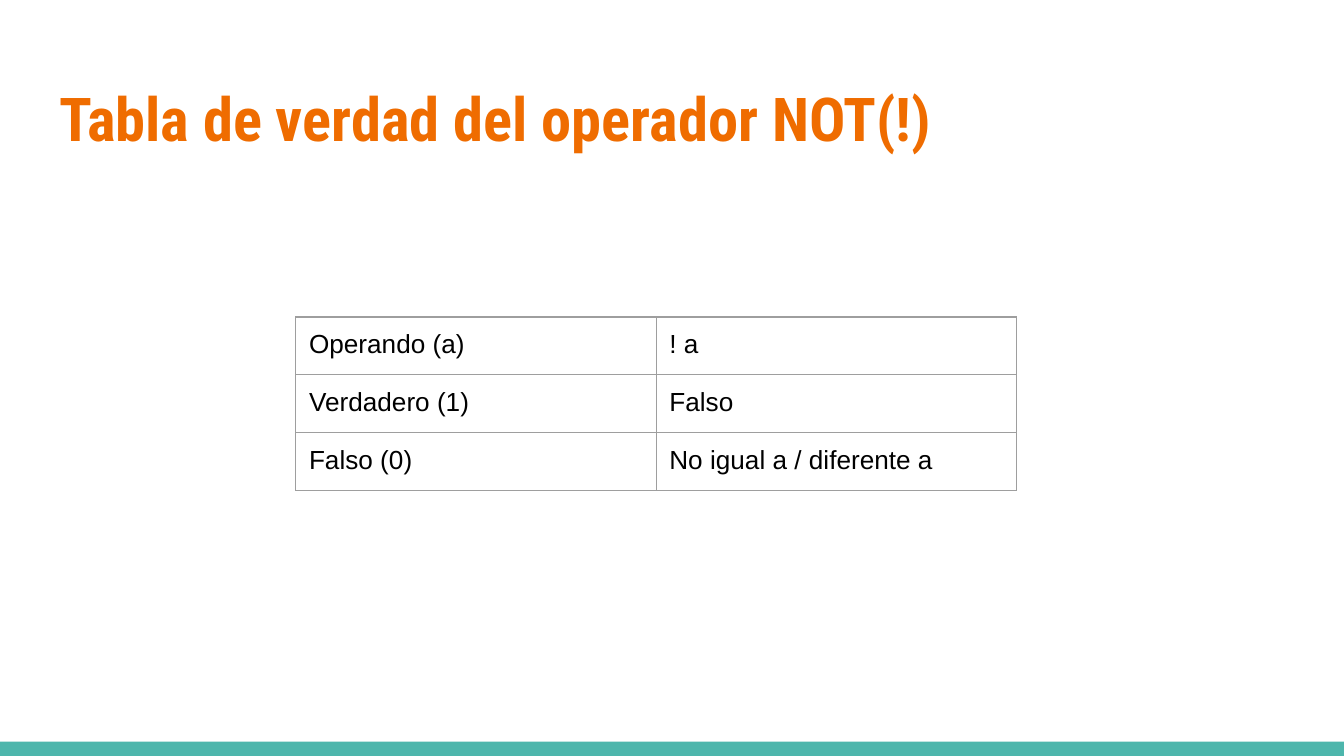
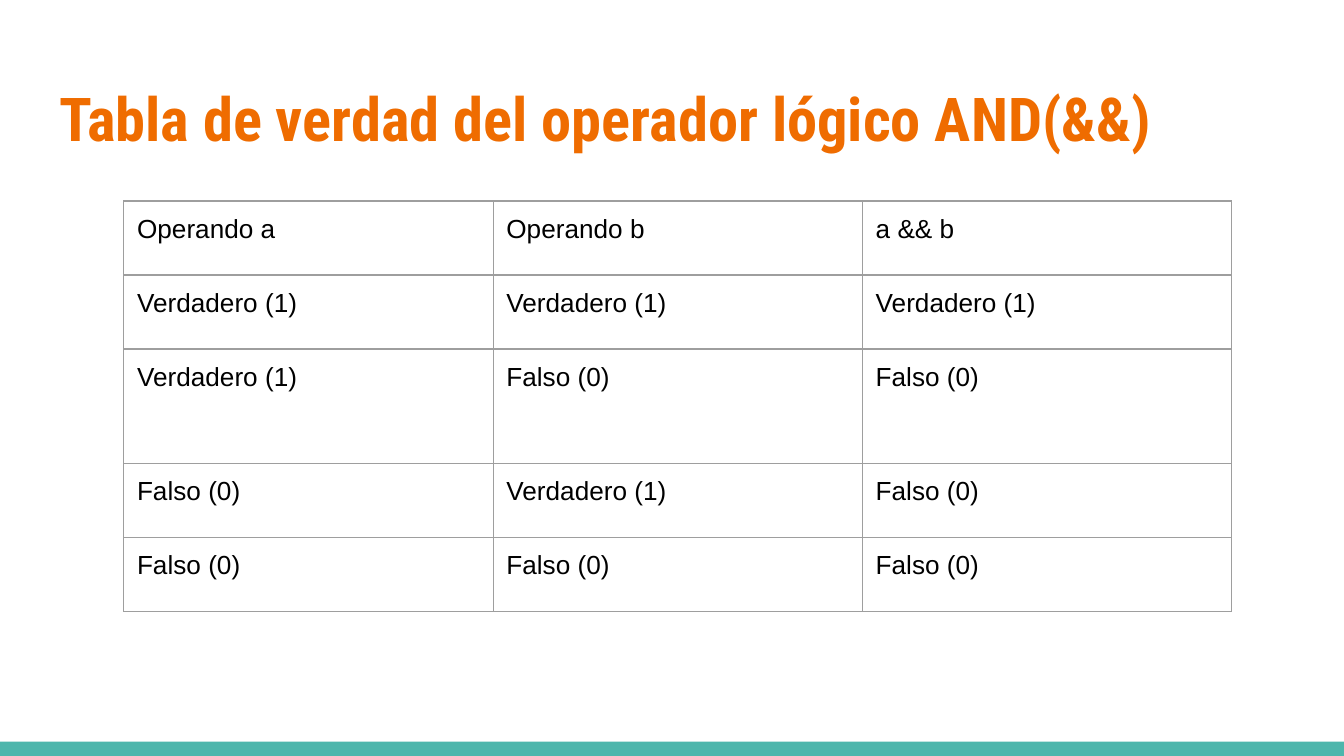
from lxml import etree
from pptx import Presentation
from pptx.dml.color import RGBColor
from pptx.enum import shapes, text
from pptx.oxml import ns
from pptx.util import Cm, Pt

TRUE, FALSE = "Verdadero (1)", "Falso (0)"

# Table positions, column widths and row heights are in centimetres.
SLIDES = [
    {
        "title": "Tabla de verdad del operador NOT(!)",
        "left": 5.59, "top": 5.99, "column_width": 6.81,
        "row_heights": [1.07] * 3,
        "rows": [
            ("Operando (a)", "! a"),
            (TRUE, "Falso"),
            (FALSE, "No igual a / diferente a"),
        ],
    },
    {
        "title": "Tabla de verdad del operador lógico AND(&&)",
        "left": 2.34, "top": 3.8, "column_width": 6.98,
        "row_heights": [1.4, 1.4, 2.17, 1.4, 1.4],
        "rows": [
            ("Operando a", "Operando b", "a && b"),
            (TRUE, TRUE, TRUE),
            (TRUE, FALSE, FALSE),
            (FALSE, TRUE, FALSE),
            (FALSE, FALSE, FALSE),
        ],
    },
]

WIDTH, HEIGHT, BAND_HEIGHT = 25.4, 14.29, 0.27
ORANGE, TEAL, GRAY, BLACK = "EF6C00", "4DB6AC", "9E9E9E", "000000"
TITLE_STYLE = {"font": "Roboto Condensed", "size": 32.4, "color": ORANGE, "bold": True}
CELL_STYLE = {"font": "Arial", "size": 14, "color": BLACK}
INSET = Cm(0.25)


def rgb(color):
    return RGBColor.from_string(color)


def write(frame, content, font, size, color, bold=False):
    frame.word_wrap = True
    run = frame.paragraphs[0].add_run()
    run.text = content
    run.font.name = font
    run.font.size = Pt(size)
    run.font.bold = bold
    run.font.color.rgb = rgb(color)


def set_insets(target):
    """Give a cell or a text frame the same margin on all sides."""
    for side in ("left", "top", "right", "bottom"):
        setattr(target, f"margin_{side}", INSET)


def add_band(slide):
    band = slide.shapes.add_shape(
        shapes.MSO_SHAPE.RECTANGLE,
        0, Cm(HEIGHT - BAND_HEIGHT), Cm(WIDTH), Cm(BAND_HEIGHT))
    band.shadow.inherit = False
    band.fill.solid()
    band.fill.fore_color.rgb = rgb(TEAL)
    band.line.fill.background()


def add_title(slide, title):
    margin = 0.87
    box = slide.shapes.add_textbox(
        Cm(margin), Cm(1.24), Cm(WIDTH - 2 * margin), Cm(1.96))
    set_insets(box.text_frame)
    box.text_frame.vertical_anchor = text.MSO_ANCHOR.MIDDLE
    write(box.text_frame, title, **TITLE_STYLE)


def set_borders(cell, color, points):
    properties = cell._tc.get_or_add_tcPr()
    for index, name in enumerate(("a:lnL", "a:lnR", "a:lnT", "a:lnB")):
        line = etree.Element(ns.qn(name), w=str(Pt(points)))
        fill = etree.SubElement(line, ns.qn("a:solidFill"))
        etree.SubElement(fill, ns.qn("a:srgbClr"), val=color)
        properties.insert(index, line)


def add_truth_table(slide, rows, left, top, column_width, row_heights):
    column_count = len(rows[0])
    table = slide.shapes.add_table(
        len(rows), column_count, Cm(left), Cm(top),
        Cm(column_width * column_count), Cm(sum(row_heights))).table
    table.first_row = table.horz_banding = False
    for column in table.columns:
        column.width = Cm(column_width)
    for row, height, values in zip(table.rows, row_heights, rows):
        row.height = Cm(height)
        for cell, value in zip(row.cells, values):
            cell.fill.background()
            set_insets(cell)
            set_borders(cell, GRAY, 0.75)
            write(cell.text_frame, value, **CELL_STYLE)


def main():
    presentation = Presentation()
    presentation.slide_width = Cm(WIDTH)
    presentation.slide_height = Cm(HEIGHT)
    blank = presentation.slide_layouts[6]
    for content in SLIDES:
        slide = presentation.slides.add_slide(blank)
        add_band(slide)
        add_title(slide, content["title"])
        add_truth_table(
            slide, content["rows"], content["left"], content["top"],
            content["column_width"], content["row_heights"])
    presentation.save("out.pptx")


if __name__ == "__main__":
    main()
